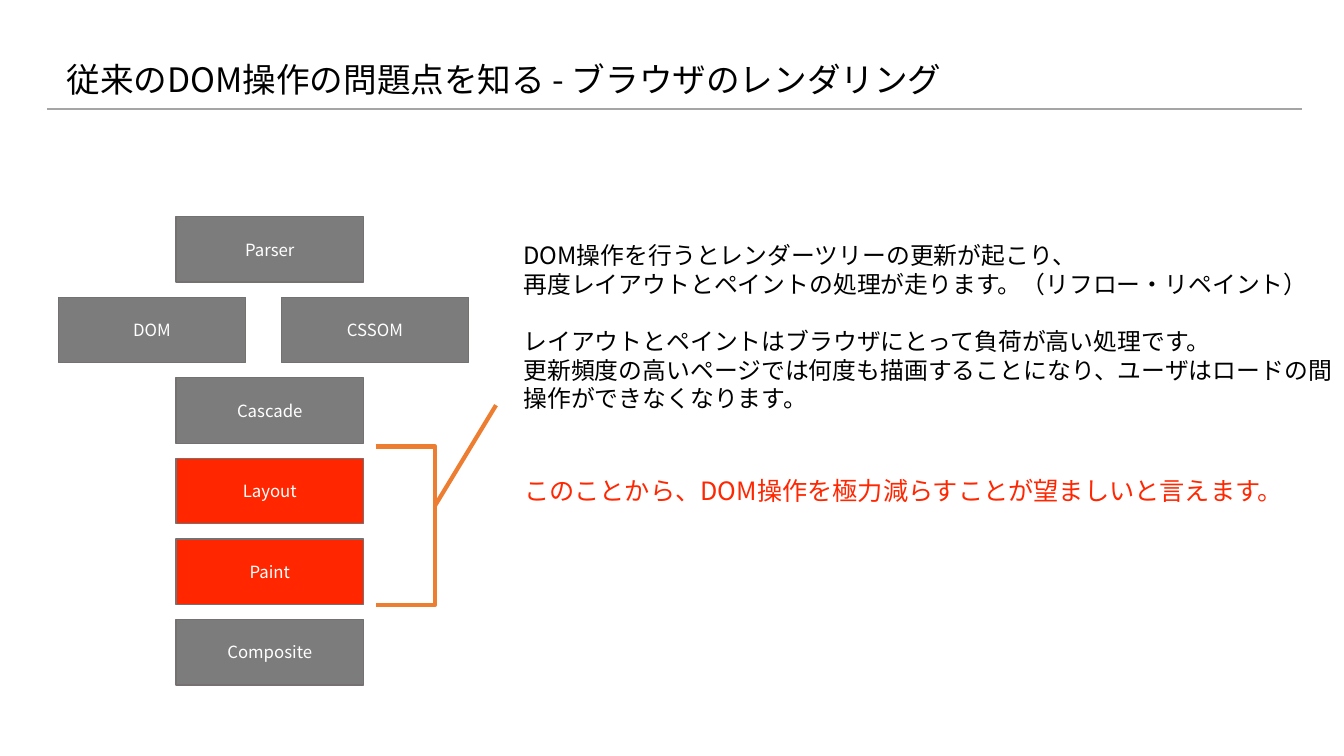
import dataclasses
import typing

import lxml.etree
import pptx
import pptx.dml.color
import pptx.enum.lang
import pptx.enum.shapes
import pptx.enum.text
import pptx.oxml.ns
import pptx.util

Cm = pptx.util.Cm
Pt = pptx.util.Pt
Align = pptx.enum.text.PP_ALIGN
Anchor = pptx.enum.text.MSO_ANCHOR


@dataclasses.dataclass(frozen=True)
class Theme:
    face: str = "Noto Sans CJK JP"
    black: str = "000000"
    white: str = "FFFFFF"
    gray: str = "7C7C7C"
    edge: str = "767171"
    rule: str = "A5A5A5"
    red: str = "FF2600"
    orange: str = "ED7D31"
    head: float = 24
    main: float = 17
    claim: float = 18
    label: float = 12


@dataclasses.dataclass(frozen=True)
class Step:
    text: str
    left: float
    row: int
    fill: str


@dataclasses.dataclass(frozen=True)
class Line:
    start: tuple[float, float]
    end: tuple[float, float]
    color: str
    width: float


@dataclasses.dataclass(frozen=True)
class Note:
    box: tuple[float, float, float, float]
    lines: tuple[str, ...]
    size: float
    color: str
    breaks: tuple[int, ...] = ()


THEME = Theme()
TITLE = "従来のDOM操作の問題点を知る - ブラウザのレンダリング"
LEFT, MID, RIGHT = 1.47, 4.44, 7.09
TOP, PITCH, WIDE, HIGH = 5.46, 2.03, 4.72, 1.65
GAP = 20.5

STEPS = (
    Step("Parser", MID, 0, THEME.gray),
    Step("DOM", LEFT, 1, THEME.gray),
    Step("CSSOM", RIGHT, 1, THEME.gray),
    Step("Cascade", MID, 2, THEME.gray),
    Step("Layout", MID, 3, THEME.red),
    Step("Paint", MID, 4, THEME.red),
    Step("Composite", MID, 5, THEME.gray),
)
BRACKET = ((9.47, 11.25), (10.97, 11.25), (10.97, 15.24), (9.47, 15.24))
LINES = (
    Line((1.19, 2.75), (32.82, 2.75), THEME.rule, 1.5),
    Line((10.97, 12.73), (12.5, 10.21), THEME.orange, 3),
)
NOTES = (
    Note((13.06, 5.94, 20.8, 5.33), (
        "DOM操作を行うとレンダーツリーの更新が起こり、",
        "再度レイアウトとペイントの処理が走ります。（リフロー・リペイント）",
        "レイアウトとペイントはブラウザにとって負荷が高い処理です。",
        "更新頻度の高いページでは何度も描画することになり、ユーザはロードの間",
        "操作ができなくなります。",
    ), THEME.main, THEME.black, (2,)),
    Note((13.08, 11.84, 19.46, 1.04),
         ("このことから、DOM操作を極力減らすことが望ましいと言えます。",),
         THEME.claim, THEME.red),
)


def tint(code: str) -> pptx.dml.color.RGBColor:
    return pptx.dml.color.RGBColor.from_string(code)


def apply(item: typing.Any, style: dict[str, typing.Any]) -> None:
    for name, value in style.items():
        setattr(item, name, value)


def stroke(line: typing.Any, color: str, width: float) -> None:
    line.color.rgb = tint(color)
    line.width = Pt(width)


def write(frame: typing.Any, lines: tuple[str, ...], size: float, color: str,
          anchor: Anchor = Anchor.TOP, align: Align = Align.LEFT) -> None:
    """Fill a text frame, one paragraph for each line."""
    pad = Cm(0.13)
    apply(frame, {
        "word_wrap": True, "auto_size": pptx.enum.text.MSO_AUTO_SIZE.NONE,
        "vertical_anchor": anchor, "margin_left": pad, "margin_right": pad,
        "margin_top": pad, "margin_bottom": pad,
    })
    frame.text = "\n".join(lines)
    for para in frame.paragraphs:
        para.alignment = align
        font = para.runs[0].font
        apply(font, {"name": THEME.face, "size": Pt(size),
                     "language_id": pptx.enum.lang.MSO_LANGUAGE_ID.JAPANESE})
        font.color.rgb = tint(color)
        # East Asian glyphs take their face from a:ea, which follows a:latin.
        asian = lxml.etree.Element(pptx.oxml.ns.qn("a:ea"), typeface=THEME.face)
        font._element.find(pptx.oxml.ns.qn("a:latin")).addnext(asian)


def draw_title(slide: typing.Any) -> None:
    title = slide.shapes.title
    apply(title, {"left": Cm(1.55), "top": Cm(0.79),
                  "width": Cm(27.18), "height": Cm(2.54)})
    write(title.text_frame, (TITLE,), THEME.head, THEME.black, Anchor.MIDDLE)
    title.text_frame.paragraphs[0].line_spacing = 0.9


def draw_step(slide: typing.Any, step: Step) -> None:
    box = slide.shapes.add_shape(
        pptx.enum.shapes.MSO_SHAPE.RECTANGLE, Cm(step.left),
        Cm(TOP + step.row * PITCH), Cm(WIDE), Cm(HIGH))
    box.shadow.inherit = False
    box.fill.solid()
    box.fill.fore_color.rgb = tint(step.fill)
    stroke(box.line, THEME.edge, 1)
    write(box.text_frame, (step.text,), THEME.label, THEME.white,
          Anchor.MIDDLE, Align.CENTER)


def draw_note(slide: typing.Any, note: Note) -> None:
    frame = slide.shapes.add_textbox(*map(Cm, note.box)).text_frame
    write(frame, note.lines, note.size, note.color)
    for index in note.breaks:
        frame.paragraphs[index].space_before = Pt(GAP)


def draw_line(slide: typing.Any, line: Line) -> None:
    link = slide.shapes.add_connector(
        pptx.enum.shapes.MSO_CONNECTOR.STRAIGHT,
        *map(Cm, line.start + line.end))
    stroke(link.line, line.color, line.width)
    lxml.etree.SubElement(link._element.spPr, pptx.oxml.ns.qn("a:effectLst"))


def draw_bracket(slide: typing.Any) -> None:
    first, *rest = [(Cm(x), Cm(y)) for x, y in BRACKET]
    path = slide.shapes.build_freeform(*first)
    path.add_line_segments(rest, close=False)
    shape = path.convert_to_shape()
    shape.shadow.inherit = False
    shape.fill.background()
    stroke(shape.line, THEME.orange, 3)


def main() -> None:
    deck = pptx.Presentation()
    apply(deck, {"slide_width": Cm(33.87), "slide_height": Cm(19.05)})
    slide = deck.slides.add_slide(deck.slide_layouts.get_by_name("Title Only"))
    draw_title(slide)
    for step in STEPS:
        draw_step(slide, step)
    for note in NOTES:
        draw_note(slide, note)
    draw_bracket(slide)
    for line in LINES:
        draw_line(slide, line)
    deck.save("out.pptx")


if __name__ == "__main__":
    main()
